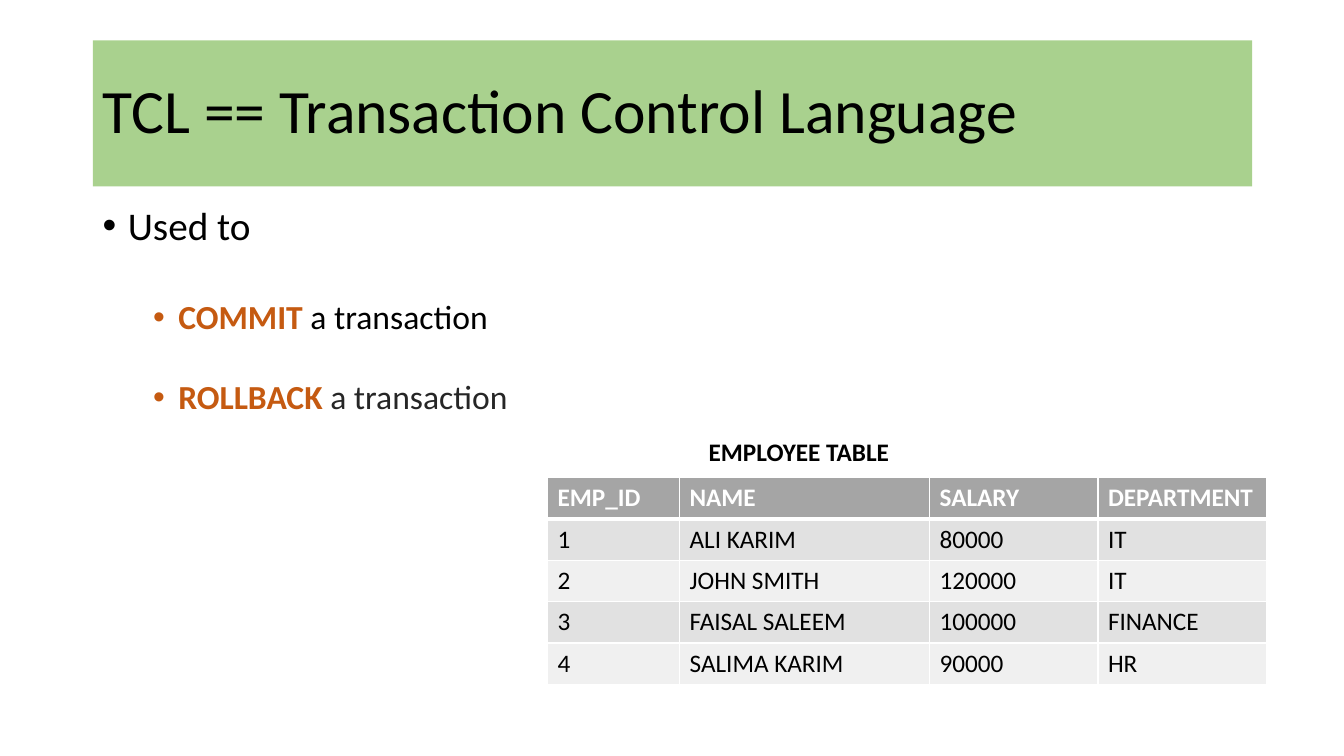
from lxml import etree
from pptx import Presentation
from pptx.dml.color import RGBColor
from pptx.enum.text import MSO_ANCHOR as Anchor, MSO_AUTO_SIZE as AutoSize, PP_ALIGN as Align
from pptx.oxml.ns import qn
from pptx.util import Inches, Pt

FONT = "Calibri"
BLACK, WHITE, ORANGE, CHARCOAL = "000000", "FFFFFF", "C55A11", "262626"
GREEN, HEADER_GRAY, BANDS = "A9D18E", "A5A5A5", ("E1E1E1", "F0F0F0")

TITLE = "TCL == Transaction Control Language"
CAPTION = "EMPLOYEE TABLE"
BULLETS = [
    {"level": 0, "size": 28, "indent": 0.25, "before": 10,
     "spans": [("Used to", BLACK, False)]},
    {"level": 1, "size": 24, "indent": 0.75, "before": 37,
     "spans": [("COMMIT ", ORANGE, True), ("a transaction", BLACK, False)]},
    {"level": 1, "size": 24, "indent": 0.75, "before": 31,
     "spans": [("ROLLBACK", ORANGE, True), (" a transaction", CHARCOAL, False)]},
]
EMPLOYEES = [
    ("EMP_ID", "NAME", "SALARY", "DEPARTMENT"),
    ("1", "ALI KARIM", "80000", "IT"),
    ("2", "JOHN SMITH", "120000", "IT"),
    ("3", "FAISAL SALEEM", "100000", "FINANCE"),
    ("4", "SALIMA KARIM", "90000", "HR"),
]
COLUMN_WIDTHS = (1.31, 2.48, 1.67, 1.67)
ROW_HEIGHT = 0.41


def color(value):
    return RGBColor.from_string(value)


def paint(target, value):
    target.fill.solid()
    target.fill.fore_color.rgb = color(value)


def add_text(para, text, size=18, tint=BLACK, bold=False):
    span = para.add_run()
    span.text = text
    span.font.name = FONT
    span.font.size = Pt(size)
    span.font.bold = bold
    span.font.color.rgb = color(tint)


def add_bullet(para, indent):
    props = para._p.get_or_add_pPr()
    props.set("marL", str(Inches(indent)))
    props.set("indent", str(Inches(-0.25)))
    etree.SubElement(props, qn("a:buFont")).set("typeface", "Arial")
    etree.SubElement(props, qn("a:buChar")).set("char", "•")


def add_borders(cell, top, bottom):
    props = cell._tc.get_or_add_tcPr()
    for side, width in (("L", 1), ("R", 1), ("T", top), ("B", bottom)):
        line = etree.SubElement(props, qn(f"a:ln{side}"), w=str(Pt(width)))
        fill = etree.SubElement(line, qn("a:solidFill"))
        etree.SubElement(fill, qn("a:srgbClr"), val=WHITE)


deck = Presentation()
deck.slide_width, deck.slide_height = Inches(13.33), Inches(7.5)
page = deck.slides.add_slide(deck.slide_layouts[5])

title = page.shapes.title
title.left, title.top = Inches(0.92), Inches(0.4)
title.width, title.height = Inches(11.5), Inches(1.45)
paint(title, GREEN)
title.text_frame.auto_size = AutoSize.NONE
title.text_frame.vertical_anchor = Anchor.MIDDLE
heading = title.text_frame.paragraphs[0]
heading.alignment = Align.LEFT
heading.line_spacing = 0.9
add_text(heading, TITLE, size=44)

body = page.shapes.add_textbox(Inches(0.92), Inches(2), Inches(11.5), Inches(4.4))
frame = body.text_frame
frame.word_wrap = True
for index, bullet in enumerate(BULLETS):
    para = frame.add_paragraph() if index else frame.paragraphs[0]
    para.level = bullet["level"]
    para.line_spacing = 0.9
    para.space_before = Pt(bullet["before"])
    add_bullet(para, bullet["indent"])
    for text, tint, bold in bullet["spans"]:
        add_text(para, text, size=bullet["size"], tint=tint, bold=bold)

table = page.shapes.add_table(
    len(EMPLOYEES), len(COLUMN_WIDTHS), Inches(5.43), Inches(4.74),
    Inches(sum(COLUMN_WIDTHS)), Inches(ROW_HEIGHT * len(EMPLOYEES))).table
for column, width in zip(table.columns, COLUMN_WIDTHS):
    column.width = Inches(width)
for row_index, record in enumerate(EMPLOYEES):
    table.rows[row_index].height = Inches(ROW_HEIGHT)
    is_header = row_index == 0
    for column_index, text in enumerate(record):
        cell = table.cell(row_index, column_index)
        add_borders(cell, top=3 if row_index == 1 else 1, bottom=3 if is_header else 1)
        paint(cell, HEADER_GRAY if is_header else BANDS[(row_index - 1) % 2])
        add_text(cell.text_frame.paragraphs[0], text,
                 tint=WHITE if is_header else BLACK, bold=is_header)

caption = page.shapes.add_textbox(Inches(6.93), Inches(4.28), Inches(2.01), Inches(0.4))
caption.text_frame.word_wrap = False
caption.text_frame.auto_size = AutoSize.SHAPE_TO_FIT_TEXT
add_text(caption.text_frame.paragraphs[0], CAPTION, bold=True)

deck.save("out.pptx")
